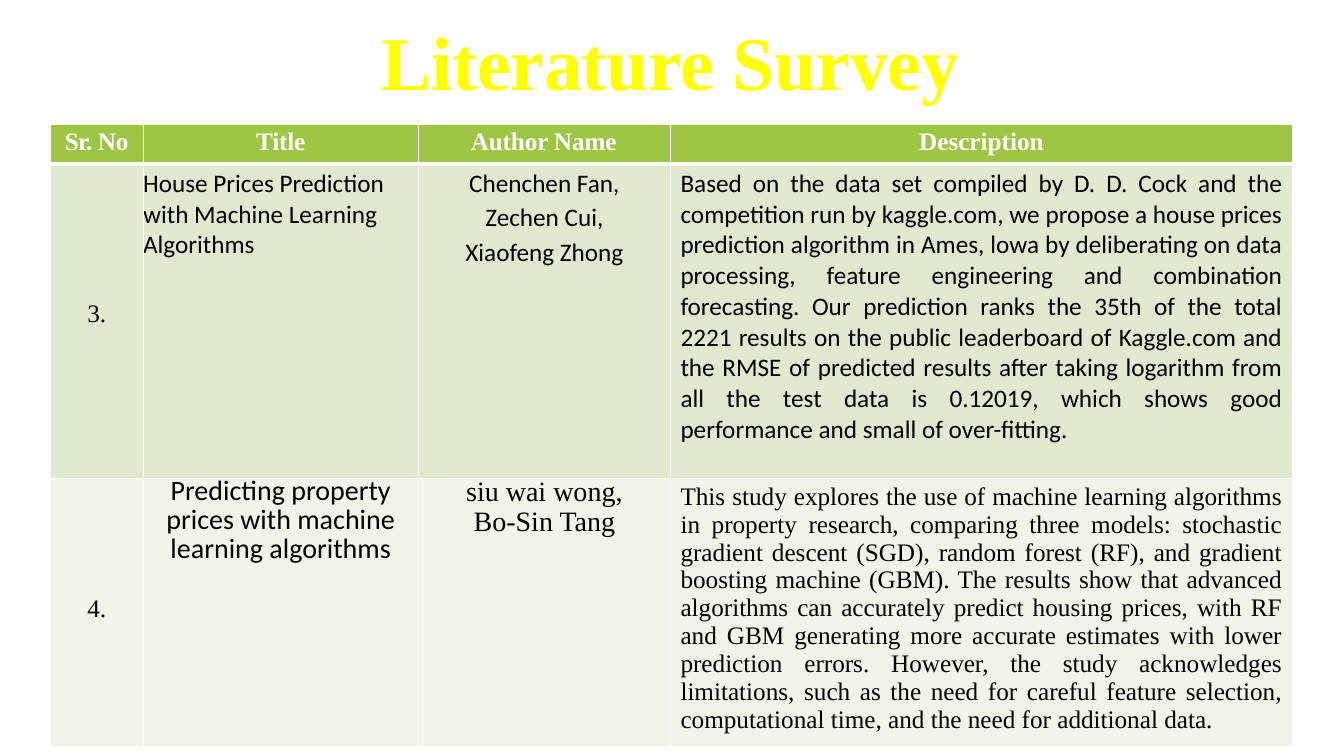
from dataclasses import dataclass
from lxml.etree import SubElement as Sub
from pptx import Presentation
from pptx.dml.color import RGBColor as RGB
from pptx.enum.text import MSO_ANCHOR as Anchor, PP_ALIGN as Align
from pptx.oxml.ns import qn
from pptx.util import Inches, Pt


@dataclass(frozen=True)
class Theme:
    white: str = "FFFFFF"
    black: str = "000000"
    yellow: str = "FFFF00"
    green: str = "9EC544"
    pale: str = "DFEACF"
    faint: str = "EFF5E9"
    serif: str = "Times New Roman"
    sans: str = "Calibri"
    title: int = 54
    large: int = 20
    body: int = 18


@dataclass
class Text:
    lines: list  # each line is a list of (words, letter spacing in points)
    font: str
    size: int
    color: str
    bold: bool = False
    align: Align = Align.CENTER
    left: float = 0
    right: float = 0
    gap: float = 0
    pitch: float = 0
    top: float = 0.04


class Deck:
    def __init__(self, theme):
        self.theme = theme
        self.prs = Presentation()
        self.prs.slide_width, self.prs.slide_height = Inches(13.33), Inches(7.5)
        self.slide = self.prs.slides.add_slide(self.prs.slide_layouts[6])

    def fill_text(self, frame, text):
        frame.word_wrap = True
        for i, line in enumerate(text.lines):
            par = frame.paragraphs[0] if i == 0 else frame.add_paragraph()
            par.alignment = text.align
            props = par._p.get_or_add_pPr()
            props.set("marL", str(Inches(text.left)))
            props.set("marR", str(Inches(text.right)))
            if i and text.gap:
                par.space_before = Pt(text.gap)
            if text.pitch:
                par.line_spacing = Pt(text.pitch)
            for words, track in line:
                run = par.add_run()
                run.text = words
                font = run.font
                font.name, font.size, font.bold = text.font, Pt(text.size), text.bold
                font.color.rgb = RGB.from_string(text.color)
                if track:
                    run._r.get_or_add_rPr().set("spc", str(round(track * 100)))

    def title(self, box, text):
        frame = self.slide.shapes.add_textbox(*map(Inches, box)).text_frame
        frame.margin_left = frame.margin_right = frame.margin_bottom = 0
        frame.margin_top = Inches(text.top)
        frame.vertical_anchor = Anchor.BOTTOM
        self.fill_text(frame, text)

    def edges(self, cell, top, bottom):
        props = cell._tc.get_or_add_tcPr()
        for tag, width in (("lnL", 1), ("lnR", 1), ("lnT", top), ("lnB", bottom)):
            line = Sub(props, qn(f"a:{tag}"), w=str(Pt(width)))
            Sub(Sub(line, qn("a:solidFill")), qn("a:srgbClr"), val=self.theme.white)

    def cell(self, cell, text, fill, top, bottom):
        self.edges(cell, top, bottom)
        cell.fill.solid()
        cell.fill.fore_color.rgb = RGB.from_string(fill)
        cell.margin_left = cell.margin_right = cell.margin_bottom = 0
        cell.margin_top = Inches(text.top)
        cell.vertical_anchor = Anchor.TOP
        self.fill_text(cell.text_frame, text)

    def table(self, left, top, cols, rows, fills, cells):
        size = (left, top, sum(cols), sum(rows))
        table = self.slide.shapes.add_table(len(rows), len(cols), *map(Inches, size)).table
        table.horz_banding = False
        for col, width in zip(table.columns, cols):
            col.width = Inches(width)
        for r, (row, height) in enumerate(zip(table.rows, rows)):
            row.height = Inches(height)
            over, under = 3 if r == 1 else 1, 3 if r == 0 else 1
            for c, text in enumerate(cells[r]):
                self.cell(table.cell(r, c), text, fills[r], over, under)


def main():
    look = Theme()
    deck = Deck(look)

    # Text styles
    def head(*runs, **more):
        return Text([list(runs)], look.serif, look.body, look.white, True, **more)

    def body(*lines, font=look.sans, size=look.body, **more):
        return Text([[(line, 0)] for line in lines], font, size, look.black, **more)

    serif = {"font": look.serif}
    prose = {"align": Align.JUSTIFY, "left": 0.1, "right": 0.1}
    tight = {"size": look.large, "pitch": 20.9, "top": 0}

    # Survey rows
    cells = [
        [
            head(("Sr. ", -0.6), ("No", -0.1)),
            head(("Title", -0.1)),
            head(("Author Name", -0.1), align=Align.LEFT, left=0.52),
            head(("Description", 0)),
        ],
        [
            body("3.", top=1.35, **serif),
            body("House Prices Prediction with Machine Learning Algorithms", align=Align.LEFT),
            body("Chenchen Fan,", "Zechen Cui,", "Xiaofeng Zhong", left=0.29, right=0.29, gap=2.8),
            body(
                "Based on the data set compiled by D. D. Cock and the competition run by "
                "kaggle.com, we propose a house prices prediction algorithm in Ames, lowa by "
                "deliberating on data processing, feature engineering and combination "
                "forecasting. Our prediction ranks the 35th of the total 2221 results on the "
                "public leaderboard of Kaggle.com and the RMSE of predicted results after "
                "taking logarithm from all the test data is 0.12019, which shows good "
                "performance and small of over-fitting.",
                **prose,
            ),
        ],
        [
            body("4.", top=1.15, **serif),
            body("Predicting property prices with machine learning algorithms", **tight),
            body("siu wai wong,", "Bo-Sin Tang", **serif, **tight),
            body(
                "This study explores the use of machine learning algorithms in property "
                "research, comparing three models: stochastic gradient descent (SGD), random "
                "forest (RF), and gradient boosting machine (GBM). The results show that "
                "advanced algorithms can accurately predict housing prices, with RF and GBM "
                "generating more accurate estimates with lower prediction errors. However, "
                "the study acknowledges limitations, such as the need for careful feature "
                "selection, computational time, and the need for additional data.",
                **serif,
                **prose,
            ),
        ],
    ]
    deck.table(0.5, 1.23, [0.92, 2.73, 2.5, 6.17], [0.4, 3.12, 2.66],
               [look.green, look.pale, look.faint], cells)

    # Heading
    deck.title((3.77, 0.12, 5.78, 0.93),
               Text([[("Literature Survey", -0.1)]], look.serif, look.title, look.yellow,
                    True, Align.LEFT, left=0.01, top=0.01))

    deck.prs.save("out.pptx")


if __name__ == "__main__":
    main()
